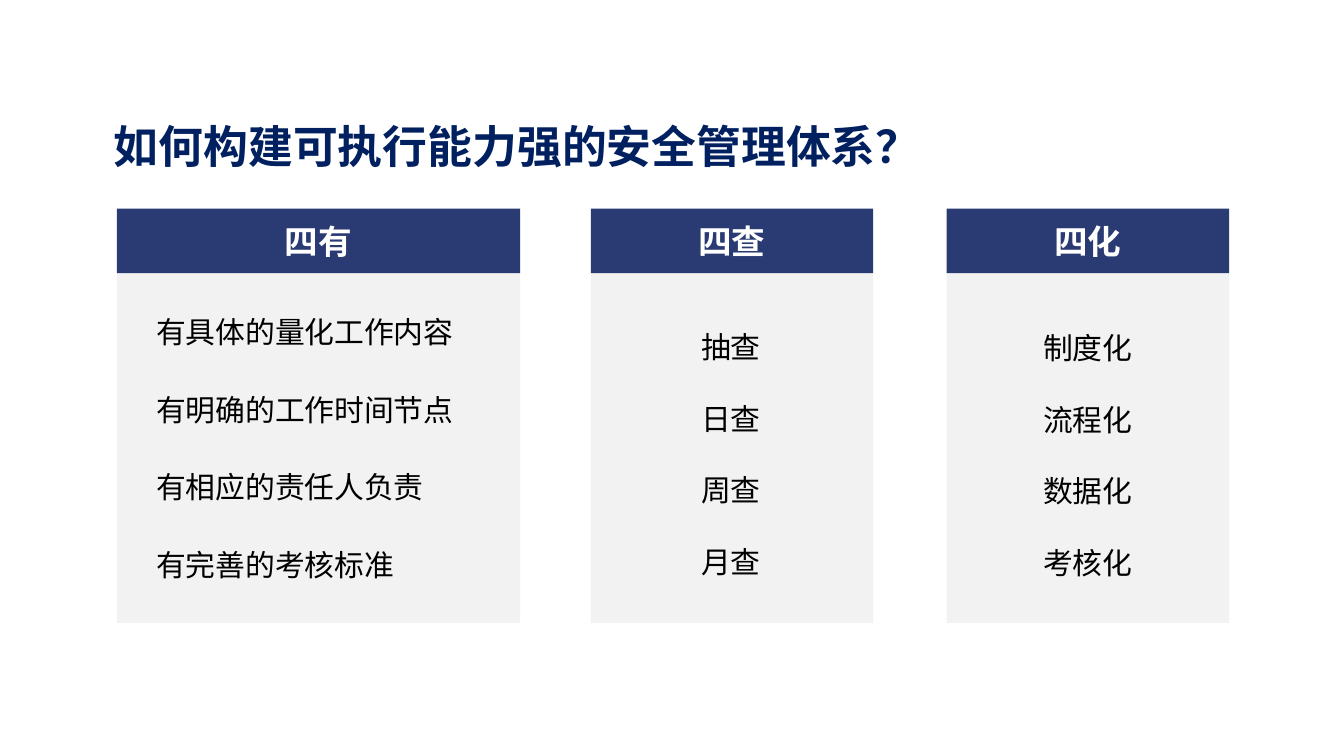
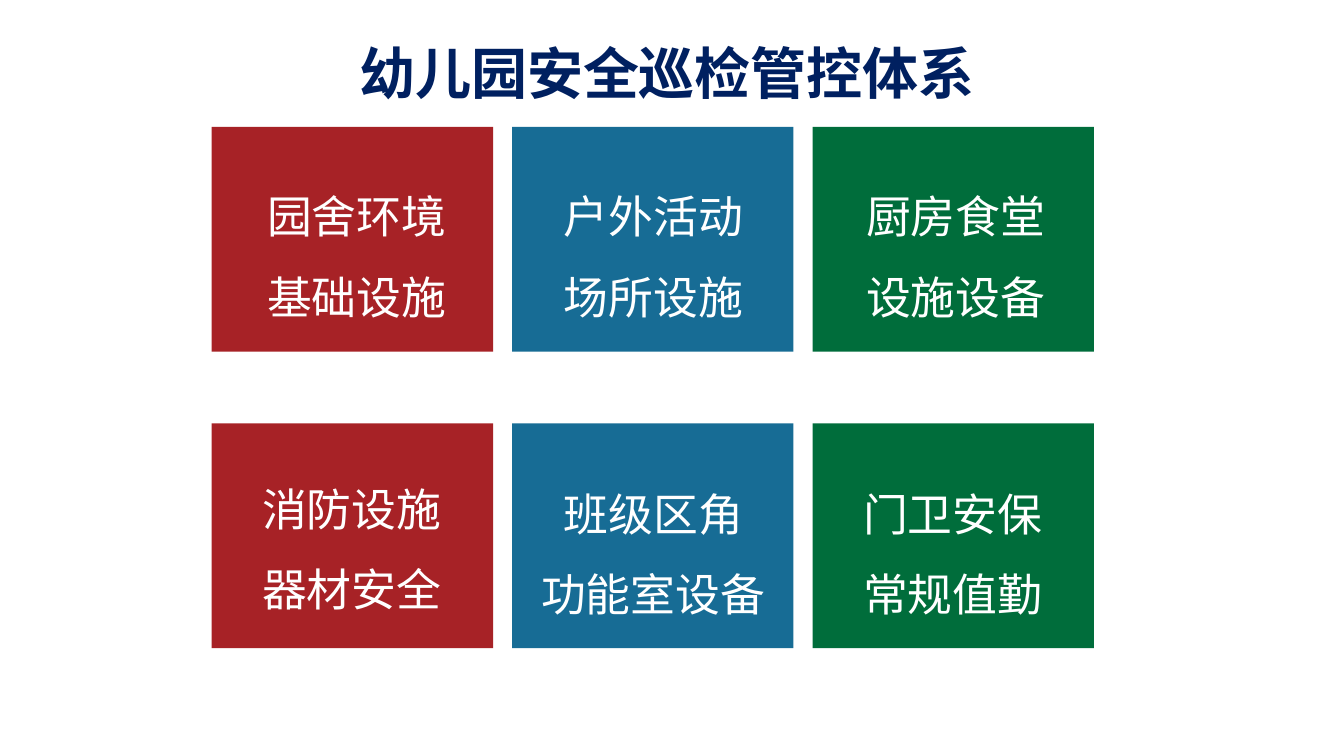
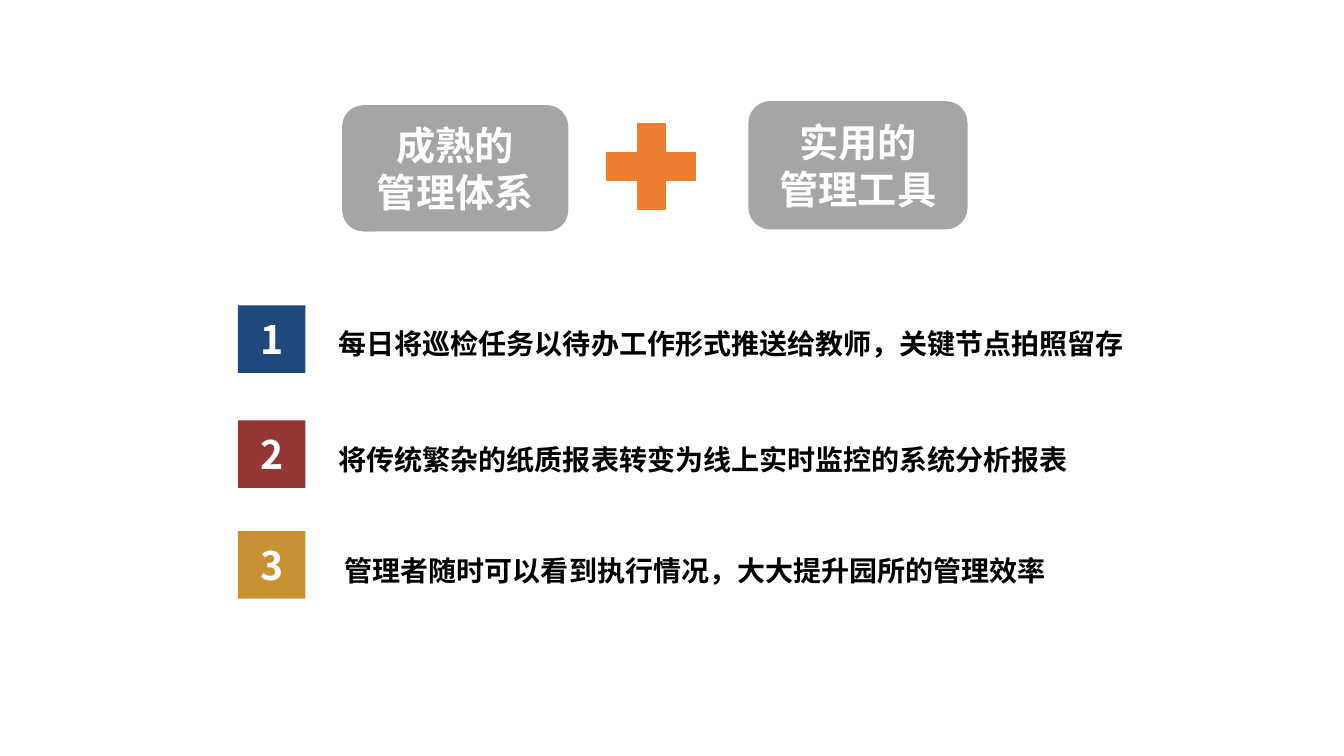
"""Build three slides on a kindergarten safety management system."""

from dataclasses import dataclass

import lxml.etree
import pptx
import pptx.dml.color
import pptx.enum.shapes
import pptx.enum.text
import pptx.oxml.ns
import pptx.presentation
import pptx.shapes.autoshape
import pptx.slide
import pptx.util

EMU_PER_PX = 9144
FONT = "Noto Sans CJK SC"
NAVY = "002060"
HEADER = "2A3A72"
PANEL = "F2F2F2"
GREY = "A5A5A5"
ORANGE = "ED7D31"
WHITE = "FFFFFF"
BLACK = "000000"
TILE_COLORS = ("A72226", "176C95", "006D3B")

SHAPE = pptx.enum.shapes.MSO_SHAPE
ANCHOR = pptx.enum.text.MSO_ANCHOR
ALIGN = pptx.enum.text.PP_ALIGN


@dataclass(frozen=True)
class Box:
    left: int
    top: int
    width: int
    height: int

    def emu(self) -> tuple[int, ...]:
        return tuple(
            side * EMU_PER_PX
            for side in (self.left, self.top, self.width, self.height)
        )


@dataclass(frozen=True)
class Style:
    size: float
    color: str = WHITE
    bold: bool = False
    align: ALIGN = ALIGN.CENTER
    line: float | pptx.util.Pt = 1.0
    before: float = 0
    after: float = 0


@dataclass(frozen=True)
class Column:
    heading: str
    items: tuple[str, ...]
    left: int
    width: int
    list_box: Box
    style: Style


@dataclass(frozen=True)
class Tile:
    lines: tuple[str, str]
    row: int
    column: int
    text_left: int
    text_top: int


@dataclass(frozen=True)
class Step:
    text: str
    color: str
    badge_top: int
    text_left: int
    text_top: int


LIST = Style(21.3, BLACK, line=2.0)
SPACED_LIST = Style(21.3, BLACK, align=ALIGN.LEFT, line=2.0, before=4.3)
HEADING = Style(24, bold=True)
TILE = Style(32, line=1.5)
BADGE = Style(28, bold=True)
STEP = Style(20, BLACK, True, ALIGN.LEFT, pptx.util.Pt(35), after=7.5)

COLUMNS = (
    Column(
        "四有",
        ("有具体的量化工作内容", "有明确的工作时间节点", "有相应的责任人负责", "有完善的考核标准"),
        116, 400, Box(145, 271, 341, 372), SPACED_LIST,
    ),
    Column("四查", ("抽查", "日查", "周查", "月查"), 586, 280, Box(585, 286, 280, 286), LIST),
    Column("四化", ("制度化", "流程化", "数据化", "考核化"), 939, 280, Box(939, 287, 280, 286), LIST),
)

TILES = (
    Tile(("园舍环境", "基础设施"), 0, 0, 226, 156),
    Tile(("户外活动", "场所设施"), 0, 1, 520, 156),
    Tile(("厨房食堂", "设施设备"), 0, 2, 820, 156),
    Tile(("消防设施", "器材安全"), 1, 0, 221, 446),
    Tile(("班级区角", "功能室设备"), 1, 1, 520, 451),
    Tile(("门卫安保", "常规值勤"), 1, 2, 817, 451),
)

STEPS = (
    Step("每日将巡检任务以待办工作形式推送给教师，关键节点拍照留存", "1F497D", 303, 326, 304),
    Step("将传统繁杂的纸质报表转变为线上实时监控的系统分析报表", "953735", 417, 326, 419),
    Step("管理者随时可以看到执行情况，大大提升园所的管理效率", "C89133", 527, 332, 529),
)


def rgb(value: str) -> pptx.dml.color.RGBColor:
    return pptx.dml.color.RGBColor.from_string(value)


def write(shape: pptx.shapes.autoshape.Shape, lines: tuple[str, ...], style: Style) -> None:
    frame = shape.text_frame
    frame.word_wrap = True
    frame.text = "\n".join(lines)
    for index, para in enumerate(frame.paragraphs):
        para.alignment = style.align
        para.line_spacing = style.line
        para.space_before = pptx.util.Pt(style.before if index else 0)
        para.space_after = pptx.util.Pt(style.after)
        for span in para.runs:
            span.font.size = pptx.util.Pt(style.size)
            span.font.bold = style.bold
            span.font.color.rgb = rgb(style.color)
            span.font.name = FONT
    qn = pptx.oxml.ns.qn
    for properties in shape.element.iter(qn("a:rPr")):
        lxml.etree.SubElement(properties, qn("a:ea"), typeface=FONT)


def add_text(page: pptx.slide.Slide, box: Box, lines: tuple[str, ...], style: Style) -> None:
    write(page.shapes.add_textbox(*box.emu()), lines, style)


def add_block(
    page: pptx.slide.Slide,
    box: Box,
    color: str,
    lines: tuple[str, ...] = (),
    style: Style = HEADING,
    kind: SHAPE = SHAPE.RECTANGLE,
    outlined: bool = False,
) -> None:
    block = page.shapes.add_shape(kind, *box.emu())
    block.shadow.inherit = False
    block.fill.solid()
    block.fill.fore_color.rgb = rgb(color)
    if outlined:
        block.line.color.rgb = rgb(color)
        block.line.width = pptx.util.Pt(1)
    else:
        block.line.fill.background()
    if lines:
        block.text_frame.vertical_anchor = ANCHOR.MIDDLE
        write(block, lines, style)


def add_title(page: pptx.slide.Slide, box: Box, text: str, size: int, align: ALIGN) -> None:
    add_text(page, box, (text,), Style(size, NAVY, True, align))


def add_page(deck: pptx.presentation.Presentation) -> pptx.slide.Slide:
    return deck.slides.add_slide(deck.slide_layouts[6])


def build_columns(page: pptx.slide.Slide) -> None:
    add_title(page, Box(103, 113, 895, 64), "如何构建可执行能力强的安全管理体系？", 32, ALIGN.LEFT)
    for column in COLUMNS:
        add_block(page, Box(column.left, 271, column.width, 347), PANEL)
        add_block(page, Box(column.left, 207, column.width, 64), HEADER, (column.heading,))
        add_text(page, column.list_box, column.items, column.style)


def build_tiles(page: pptx.slide.Slide) -> None:
    add_title(page, Box(267, 33, 789, 77), "幼儿园安全巡检管控体系", 40, ALIGN.CENTER)
    for tile in TILES:
        place = Box(210 + 298 * tile.column, 126 + 294 * tile.row, 279, 223)
        add_block(page, place, TILE_COLORS[tile.column])
        add_text(page, Box(tile.text_left, tile.text_top, 256, 162), tile.lines, TILE)


def build_steps(page: pptx.slide.Slide) -> None:
    rounded = SHAPE.ROUNDED_RECTANGLE
    add_block(page, Box(340, 105, 223, 124), GREY, ("成熟的", "管理体系"), BADGE, rounded, True)
    add_block(page, Box(743, 101, 216, 126), GREY, ("实用的", "管理工具"), BADGE, rounded, True)
    add_block(page, Box(586, 107, 120, 116), ORANGE, kind=SHAPE.MATH_PLUS, outlined=True)
    for number, step in enumerate(STEPS, 1):
        add_block(page, Box(236, step.badge_top, 67, 67), step.color, (str(number),), BADGE)
        add_text(page, Box(step.text_left, step.text_top, 803, 54), (step.text,), STEP)


def main() -> None:
    deck = pptx.Presentation()
    deck.slide_width = 1333 * EMU_PER_PX
    deck.slide_height = 750 * EMU_PER_PX
    for build in (build_columns, build_tiles, build_steps):
        build(add_page(deck))
    deck.save("out.pptx")


if __name__ == "__main__":
    main()
